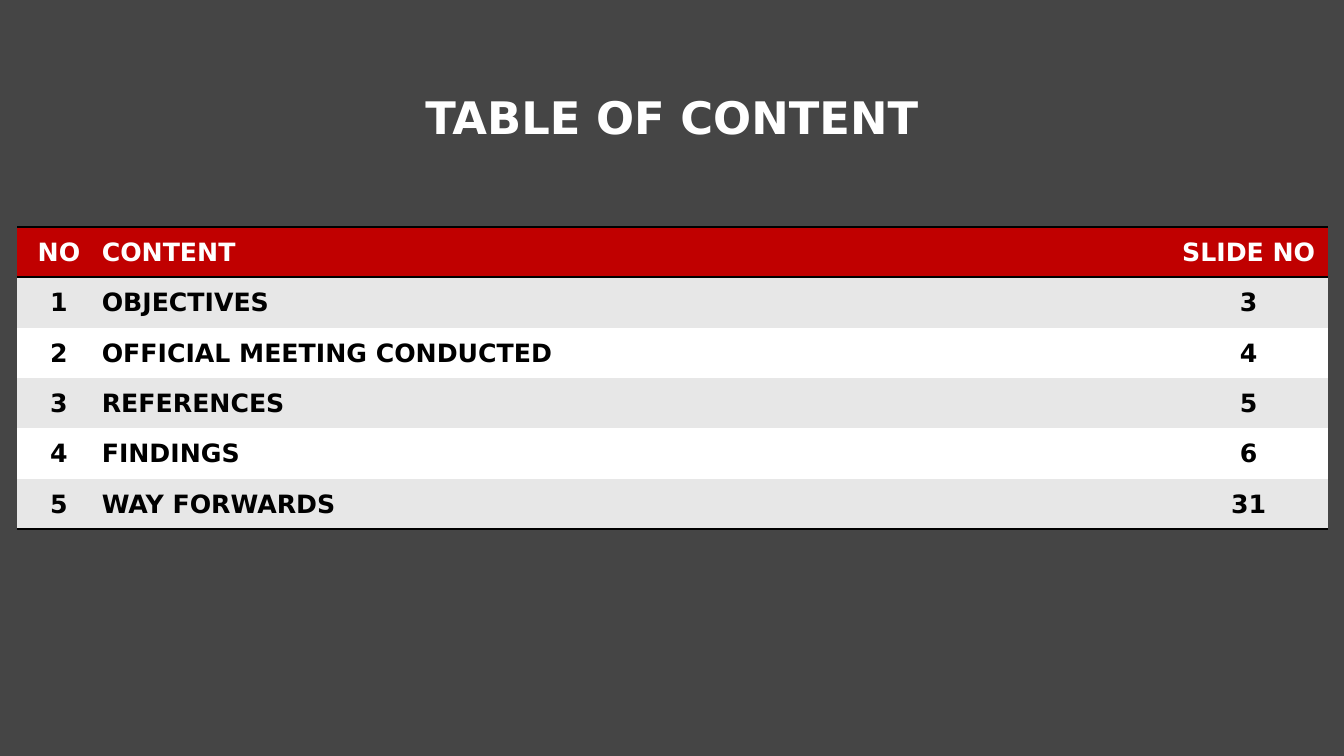
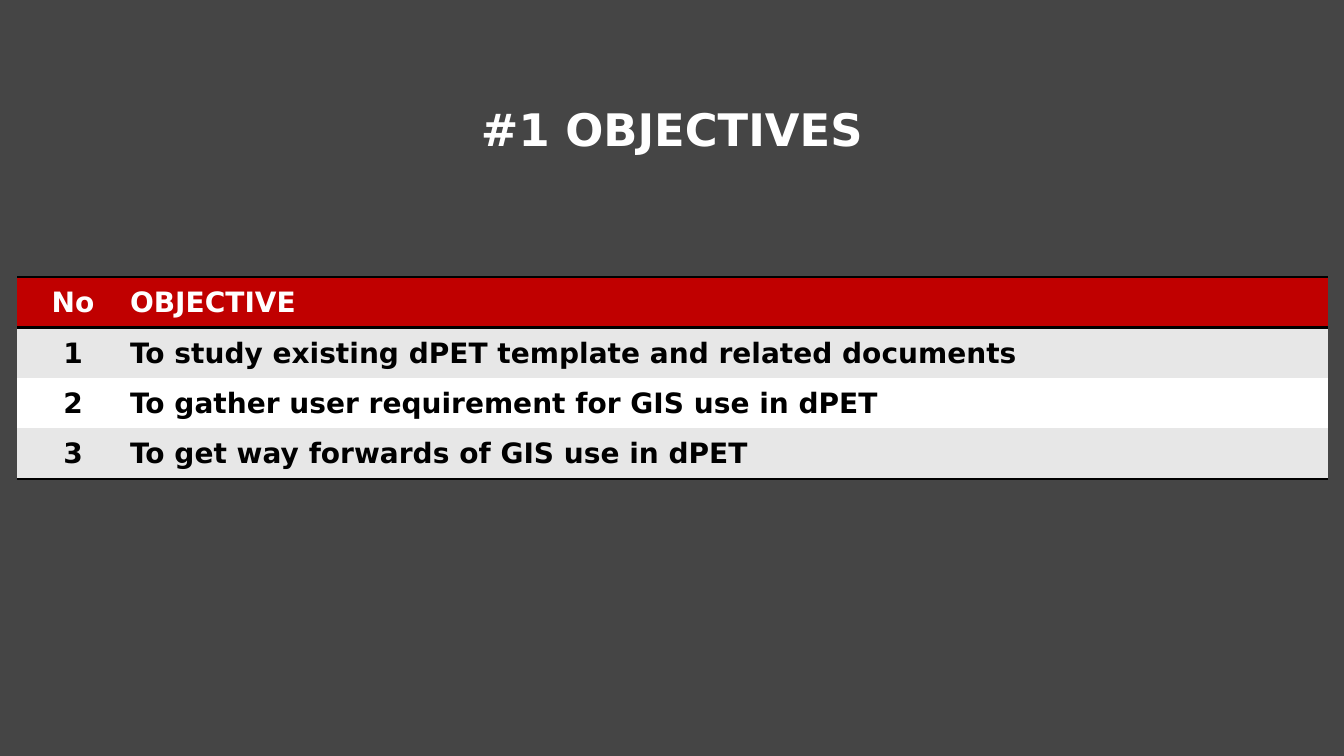
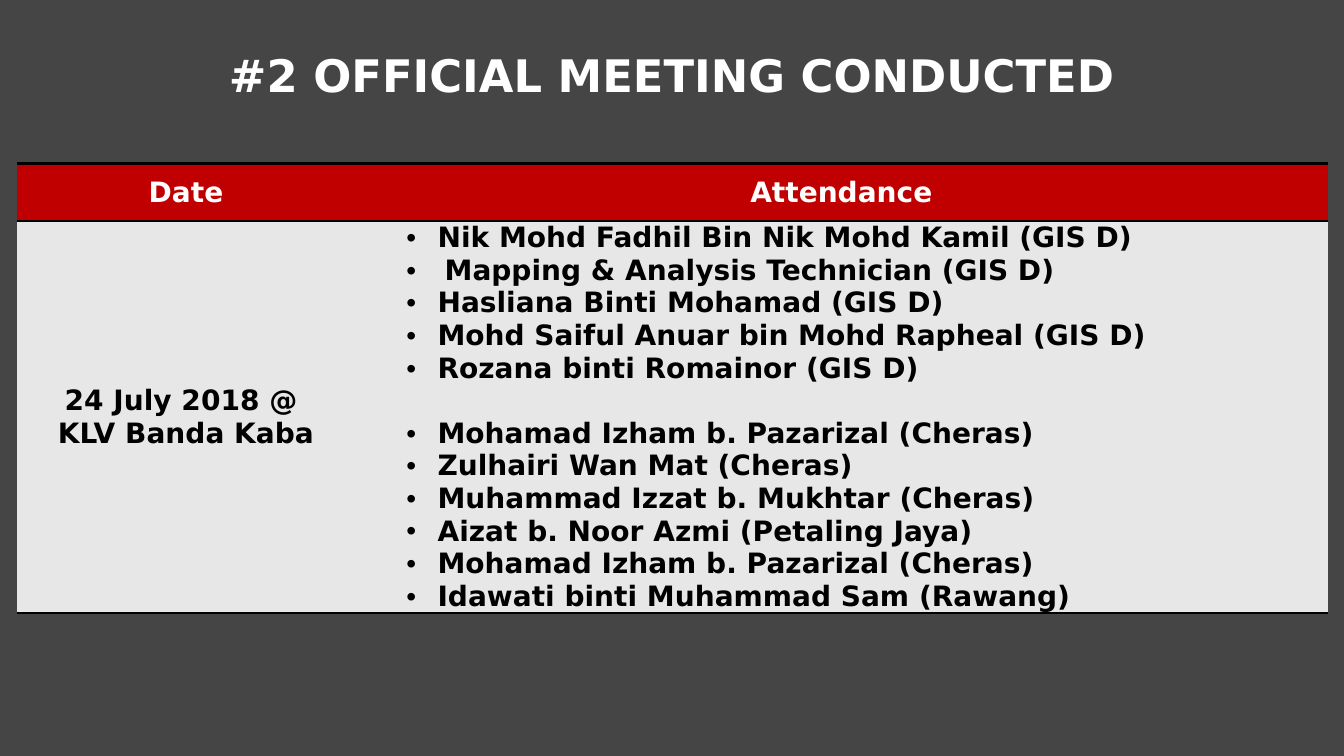
from lxml.etree import SubElement
from pptx import Presentation
from pptx.dml.color import RGBColor
from pptx.enum.text import MSO_ANCHOR, PP_ALIGN
from pptx.oxml.ns import qn
from pptx.util import Inches, Pt

FONT = "DejaVu Sans"
BACKDROP, HEADER, RULE = "454545", "C00000", "000000"
LIGHT, DARK = "FFFFFF", "000000"
BANDS = ["E7E7E7", "FFFFFF"]
PLAIN_TABLE = "{2D5ABB26-0587-4C30-8999-92F81FD0307C}"
LEFT, CENTER = PP_ALIGN.LEFT, PP_ALIGN.CENTER
PAGE_WIDTH, PAGE_HEIGHT = 13.33, 7.5
TABLE_LEFT, ROW_HEIGHT = 0.17, 0.5
RULE_WIDTH = 2
GROUP_GAP = 23.3  # one line of 20 point text


def paint(fill, color):
    """Fill solidly with a hex colour."""
    fill.solid()
    fill.fore_color.rgb = RGBColor.from_string(color)


def write(frame, text, size=20, color=DARK, align=LEFT, spacing=None,
          before=0, hang=0, indent=0):
    """Add one bold paragraph; a hang above zero gives it a bullet."""
    para = frame.paragraphs[0]
    if para.runs:
        para = frame.add_paragraph()
    para.alignment = align
    para.space_before = Pt(before)
    if spacing:
        para.line_spacing = spacing
    if hang:
        props = para._p.get_or_add_pPr()
        props.set("marL", str(Inches(indent + hang)))
        props.set("indent", str(-Inches(hang)))
        SubElement(props, qn("a:buFont"), typeface="Arial")
        SubElement(props, qn("a:buChar"), char="•")
    span = para.add_run()
    span.text = text
    span.font.name = FONT
    span.font.size = Pt(size)
    span.font.bold = True
    span.font.color.rgb = RGBColor.from_string(color)


def rule_cell(cell, *sides):
    """Draw rules on the named sides of a cell, before it is filled."""
    for side in sides:
        line = SubElement(cell._tc.get_or_add_tcPr(), qn(f"a:ln{side}"),
                          w=str(Pt(RULE_WIDTH)))
        solid = SubElement(line, qn("a:solidFill"))
        SubElement(solid, qn("a:srgbClr"), val=RULE)


def add_page(deck, title, top):
    """Add a page with its centred title in a full-width band."""
    page = deck.slides.add_slide(deck.slide_layouts.get_by_name("Title Only"))
    box = page.shapes.title
    box.left, box.top = Inches(0), Inches(top)
    box.width, box.height = Inches(PAGE_WIDTH), Inches(0.6)
    box.text_frame.vertical_anchor = MSO_ANCHOR.MIDDLE
    write(box.text_frame, title, size=32, color=LIGHT, align=CENTER,
          spacing=0.9)
    return page


def add_grid(page, top, widths, heights, aligns, rows, size=20):
    """Add a ruled, banded table; return it for any further cell text."""
    frame = page.shapes.add_table(
        len(heights), len(widths), Inches(TABLE_LEFT), Inches(top),
        Inches(sum(widths)), Inches(sum(heights)))
    table = frame.table
    table._tbl.tblPr.find(qn("a:tableStyleId")).text = PLAIN_TABLE
    for column, width in zip(table.columns, widths):
        column.width = Inches(width)
    for index, (height, texts) in enumerate(zip(heights, rows)):
        table.rows[index].height = Inches(height)
        is_header, is_last = index == 0, index == len(heights) - 1
        sides = ["T", "B"] if is_header else ["B"] if is_last else []
        for cell, text, align in zip(table.rows[index].cells, texts, aligns):
            cell.margin_left = cell.margin_right = Inches(0.01)
            cell.margin_top, cell.margin_bottom = Inches(0.01), Inches(0)
            cell.vertical_anchor = MSO_ANCHOR.MIDDLE
            rule_cell(cell, *sides)
            paint(cell.fill, HEADER if is_header else BANDS[(index - 1) % 2])
            for line in text.splitlines():
                write(cell.text_frame, line, size=size, align=align,
                      color=LIGHT if is_header else DARK)
    return table


def add_contents(deck):
    """Add the table of contents."""
    page = add_page(deck, "TABLE OF CONTENT", 0.89)
    rows = [
        ("NO", "CONTENT", "SLIDE NO"),
        ("1", "OBJECTIVES", "3"),
        ("2", "OFFICIAL MEETING CONDUCTED", "4"),
        ("3", "REFERENCES", "5"),
        ("4", "FINDINGS", "6"),
        ("5", "WAY FORWARDS", "31"),
    ]
    add_grid(page, 2.25, [0.83, 10.6, 1.57], [ROW_HEIGHT] * len(rows),
             [CENTER, LEFT, CENTER], rows, size=18)


def add_objectives(deck):
    """Add the numbered objectives."""
    page = add_page(deck, "#1 OBJECTIVES", 1.01)
    rows = [
        ("No", "OBJECTIVE"),
        ("1", "To study existing dPET template and related documents"),
        ("2", "To gather user requirement for GIS use in dPET"),
        ("3", "To get way forwards of GIS use in dPET"),
    ]
    add_grid(page, 2.75, [1.11, 11.89], [ROW_HEIGHT] * len(rows),
             [CENTER, LEFT], rows)


def add_meeting(deck):
    """Add the meeting date with its two groups of attendees."""
    page = add_page(deck, "#2 OFFICIAL MEETING CONDUCTED", 0.47)
    rows = [("Date", "Attendance"), ("24 July 2018 @ \nKLV Banda Kaba", "")]
    table = add_grid(page, 1.62, [3.35, 9.65], [0.57, 3.88],
                     [CENTER, CENTER], rows)
    technician = "Mapping & Analysis Technician (GIS D)"
    groups = [
        ["Nik Mohd Fadhil Bin Nik Mohd Kamil (GIS D)",
         technician,
         "Hasliana Binti Mohamad (GIS D)",
         "Mohd Saiful Anuar bin Mohd Rapheal (GIS D)",
         "Rozana binti Romainor (GIS D)"],
        ["Mohamad Izham b. Pazarizal (Cheras)",
         "Zulhairi Wan Mat (Cheras)",
         "Muhammad Izzat b. Mukhtar (Cheras)",
         "Aizat b. Noor Azmi (Petaling Jaya)",
         "Mohamad Izham b. Pazarizal (Cheras)",
         "Idawati binti Muhammad Sam (Rawang)"],
    ]
    attendance = table.cell(1, 1).text_frame
    for number, group in enumerate(groups):
        for place, name in enumerate(group):
            write(attendance, name, indent=0.5,
                  hang=0.38 if name == technician else 0.31,
                  before=GROUP_GAP if number and place == 0 else 0)


def build():
    """Build and save the deck."""
    deck = Presentation()
    deck.slide_width, deck.slide_height = Inches(PAGE_WIDTH), Inches(PAGE_HEIGHT)
    paint(deck.slide_master.background.fill, BACKDROP)
    add_contents(deck)
    add_objectives(deck)
    add_meeting(deck)
    deck.save("out.pptx")


build()
